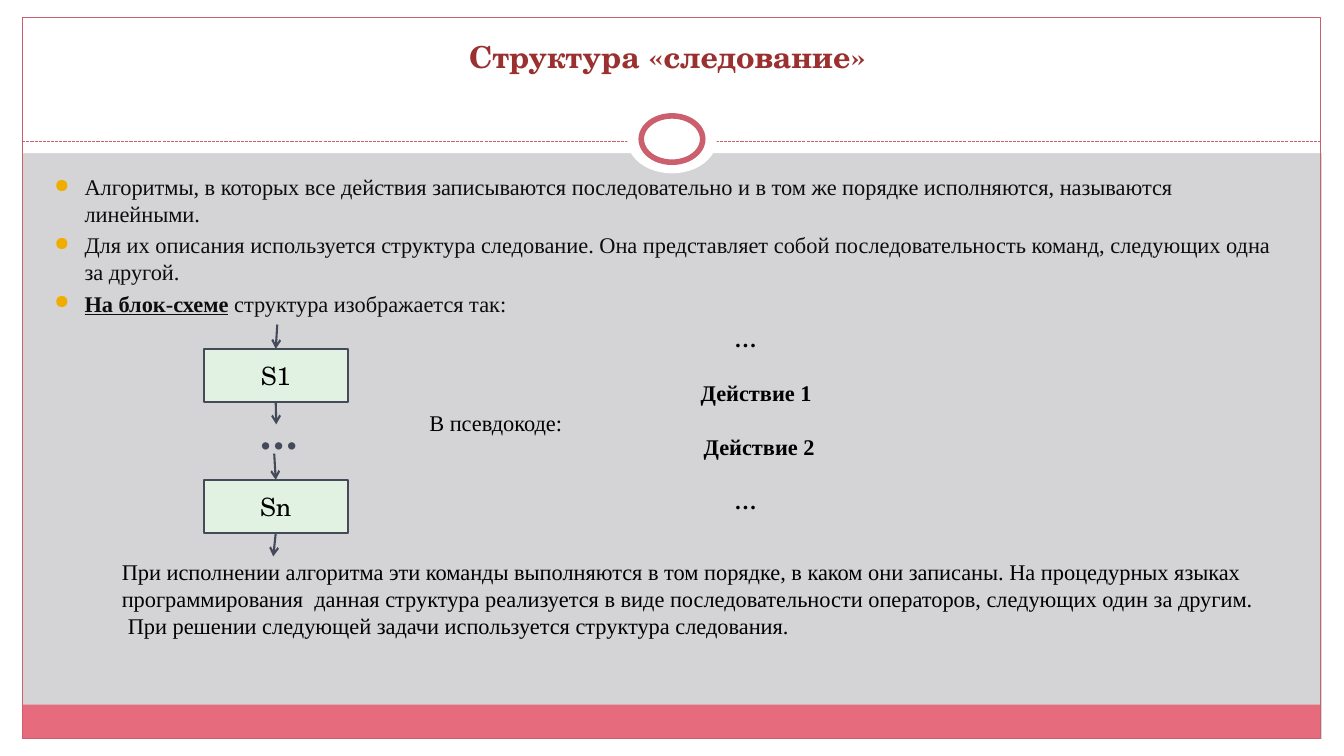
from lxml import etree
from pptx import Presentation
from pptx.dml.color import RGBColor
from pptx.enum.dml import MSO_LINE
from pptx.enum.shapes import MSO_CONNECTOR, MSO_SHAPE
from pptx.enum.text import MSO_ANCHOR, PP_ALIGN
from pptx.oxml.ns import qn
from pptx.util import Inches, Pt

RECT, OVAL = MSO_SHAPE.RECTANGLE, MSO_SHAPE.OVAL
STRAIGHT = MSO_CONNECTOR.STRAIGHT
SYS_DASH = MSO_LINE.SQUARE_DOT
LEFT, CENTER = PP_ALIGN.LEFT, PP_ALIGN.CENTER
MIDDLE = MSO_ANCHOR.MIDDLE
TOP_SIDE, BOTTOM_SIDE = 0, 2

WHITE = RGBColor(0xFF, 0xFF, 0xFF)
BLACK = RGBColor(0, 0, 0)
GREY = RGBColor(0xD4, 0xD4, 0xD6)
PINK = RGBColor(0xE6, 0x6C, 0x7D)
ROSE = RGBColor(0xCB, 0x5F, 0x6E)
DARK_RED = RGBColor(0x9A, 0x31, 0x30)
INK = RGBColor(0x0D, 0x0D, 0x0D)
AMBER = RGBColor(0xF0, 0xAD, 0x00)
MINT = RGBColor(0xE1, 0xF1, 0xE2)
SLATE = RGBColor(0x44, 0x4A, 0x5A)

SERIF, SCHOOL = "Times New Roman", "TeX Gyre Schola"
BODY_FONT = {"name": SERIF, "size": Pt(16), "color": BLACK}
LABEL_FONT = {"name": SCHOOL, "size": Pt(18), "color": BLACK}
LINE_GAP = Pt(19.4)

BULLETS = [
    [("Алгоритмы, в которых все действия записываются последовательно "
      "и в том же порядке исполняются, называются линейными.", {})],
    [("Для их описания используется структура следование. Она представляет "
      "собой последовательность команд, следующих одна за другой.", {})],
    [("На блок-схеме", {"bold": True, "underline": True}),
     (" структура изображается так:", {})],
]
# Text and left indent of each pseudocode line
PSEUDOCODE = [("…", 0), ("Действие 1", 0.21), ("Действие 2", 0.27), ("…", 0)]
# Text and left indent of each closing paragraph
CLOSING = [
    ("При исполнении алгоритма эти команды выполняются в том порядке, в каком "
     "они записаны. На процедурных языках программирования  данная структура "
     "реализуется в виде последовательности операторов, следующих один за "
     "другим.", 0),
    ("При решении следующей задачи используется структура следования.", 0.06),
]


def add_run(p, text, fmt):
    r = p.add_run()
    r.text = text
    for key, value in fmt.items():
        if key == "color":
            r.font.color.rgb = value
        else:
            setattr(r.font, key, value)


def add_shape(s, kind, box, fill=None, line=None, width=0.75):
    sp = s.shapes.add_shape(kind, *map(Inches, box))
    sp.shadow.inherit = False
    if fill is None:
        sp.fill.background()
    else:
        sp.fill.solid()
        sp.fill.fore_color.rgb = fill
    if line is None:
        sp.line.fill.background()
    else:
        sp.line.color.rgb = line
        sp.line.width = Pt(width)
    return sp


def add_line(s, start, end, color, width):
    c = s.shapes.add_connector(STRAIGHT, *map(Inches, start + end))
    c.line.color.rgb = color
    c.line.width = Pt(width)
    etree.SubElement(c._element.spPr, qn("a:effectLst"))
    return c


def add_arrow(s, start, end, source=None, target=None):
    c = add_line(s, start, end, SLATE, 1.5)
    if source is not None:
        c.begin_connect(source, BOTTOM_SIDE)
    if target is not None:
        c.end_connect(target, TOP_SIDE)
    etree.SubElement(c.line._get_or_add_ln(), qn("a:tailEnd"), type="arrow")


def add_text(s, box, lines, fmt, align=LEFT, gap=0):
    """Each line is a pair: text and left indent in inches."""
    tf = s.shapes.add_textbox(*map(Inches, box)).text_frame
    tf.word_wrap = True
    for i, (text, indent) in enumerate(lines):
        p = tf.add_paragraph() if i else tf.paragraphs[0]
        p.alignment = align
        if i and gap:
            p.space_before = gap
        if indent:
            p._p.get_or_add_pPr().set("marL", str(Inches(indent)))
        add_run(p, text, fmt)


def add_bullets(s, box):
    tf = s.shapes.add_textbox(*map(Inches, box)).text_frame
    tf.word_wrap = True
    for i, runs in enumerate(BULLETS):
        p = tf.add_paragraph() if i else tf.paragraphs[0]
        p.space_before = Pt(3.2)
        pPr = p._p.get_or_add_pPr()
        pPr.set("marL", str(Inches(0.3)))
        pPr.set("indent", str(Inches(-0.3)))
        color = etree.SubElement(pPr, qn("a:buClr"))
        etree.SubElement(color, qn("a:srgbClr"), val=str(AMBER))
        etree.SubElement(pPr, qn("a:buSzPct"), val="85000")
        etree.SubElement(pPr, qn("a:buChar"), char="●")
        for text, fmt in runs:
            add_run(p, text, {**BODY_FONT, "color": INK, **fmt})


def add_frame(s):
    for box in [(0, 7.33, 13.33, 0.17), (0, 0, 13.33, 1.52),
                (0, 0, 0.22, 7.5), (13.11, 0, 0.22, 7.5)]:
        add_shape(s, RECT, box, WHITE)
    add_shape(s, RECT, (0.22, 6.99, 12.88, 0.34), PINK)
    add_shape(s, RECT, (0.22, 0.17, 12.88, 7.16), line=ROSE)
    divider = add_line(s, (0.22, 1.4), (13.1, 1.4), ROSE, 0.75)
    divider.line.dash_style = SYS_DASH
    add_shape(s, OVAL, (6.22, 1.05, 0.89, 0.67), WHITE)
    add_shape(s, OVAL, (6.36, 1.15, 0.61, 0.46), WHITE, ROSE, 4)


def add_step(s, top, label):
    sp = add_shape(s, RECT, (2.02, top, 1.43, 0.53), MINT, SLATE, 1.5)
    tf = sp.text_frame
    tf.vertical_anchor = MIDDLE
    p = tf.paragraphs[0]
    p.alignment = CENTER
    add_run(p, label, LABEL_FONT)
    return sp


def add_flowchart(s):
    first = add_step(s, 3.46, "S1")
    last = add_step(s, 4.76, "Sn")
    add_arrow(s, (2.75, 3.22), (2.73, 3.46), target=first)
    add_arrow(s, (2.73, 3.99), (2.74, 4.21), source=first)
    add_arrow(s, (2.72, 4.5), (2.73, 4.76), target=last)
    add_arrow(s, (2.73, 5.29), (2.71, 5.52), source=last)
    add_text(s, (2.48, 4.02, 1.1, 0.57), [("…", 0)],
             {"name": SCHOOL, "size": Pt(28), "color": SLATE, "bold": True})


def main():
    prs = Presentation()
    prs.slide_width, prs.slide_height = Inches(13.33), Inches(7.5)
    s = prs.slides.add_slide(prs.slide_layouts[6])
    s.background.fill.solid()
    s.background.fill.fore_color.rgb = GREY

    # Frame and heading
    add_frame(s)
    add_text(s, (0.4, 0.33, 12.44, 0.5), [("Структура «следование»", 0)],
             {"name": SCHOOL, "size": Pt(21.6), "color": DARK_RED, "bold": True},
             CENTER)

    # Definition and flowchart
    add_bullets(s, (0.44, 1.67, 12.4, 1.6))
    add_flowchart(s)

    # Pseudocode
    add_text(s, (4.16, 4.01, 1.89, 0.64), [("В псевдокоде:", 0)], BODY_FONT)
    add_text(s, (5.73, 3.18, 3.33, 1.99), PSEUDOCODE,
             {**BODY_FONT, "bold": True}, CENTER, LINE_GAP)

    # Closing text
    add_text(s, (1.11, 5.49, 11.6, 1.18), CLOSING, BODY_FONT)
    prs.save("out.pptx")


if __name__ == "__main__":
    main()
